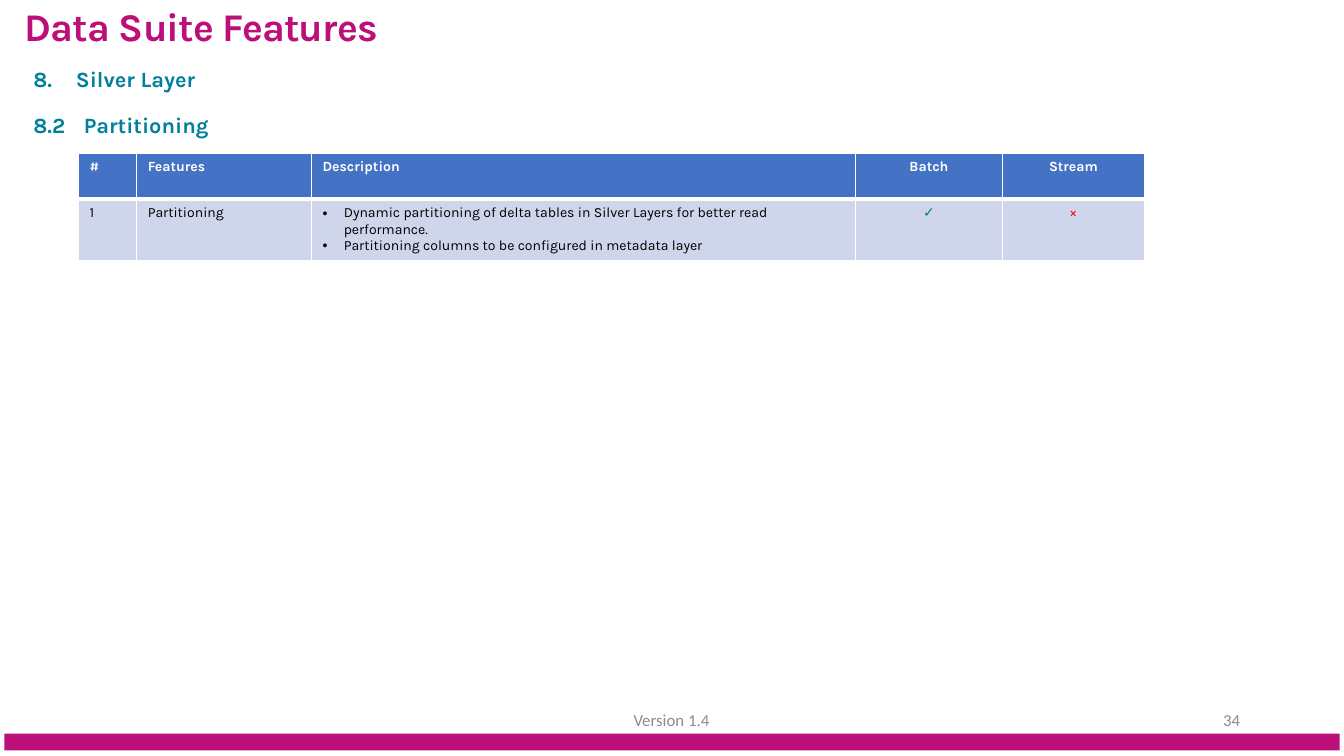
from dataclasses import dataclass

from lxml.etree import SubElement
from pptx import Presentation
from pptx.dml.color import RGBColor
from pptx.enum.shapes import MSO_SHAPE
from pptx.enum.text import MSO_ANCHOR, PP_ALIGN
from pptx.oxml.ns import qn
from pptx.util import Inches, Pt


@dataclass(frozen=True)
class Theme:
    magenta: str = "BC0F79"
    teal: str = "00809A"
    header: str = "4472C4"
    band: str = "CFD5EA"
    white: str = "FFFFFF"
    black: str = "000000"
    red: str = "FF0000"
    grey: str = "8C8C8C"
    font: str = "Karla"
    footer_font: str = "Calibri"
    title_size: float = 25.2
    heading_size: float = 14
    table_size: float = 9
    footer_size: float = 10.8


THEME = Theme()
WIDTH, HEIGHT = 12, 6.75
HEADING_LEFT, HEADING_WIDTH, HEADING_HEIGHT = 0.2, WIDTH / 2, 0.34
COLUMNS = (0.52, 1.56, 4.86, 1.31, 1.27)
ROW_HEIGHTS = (0.41, 0.55)
HEADERS = ("#", "Features", "Description", "Batch", "Stream")
FEATURE = (
    "1",
    "Partitioning",
    (
        "Dynamic partitioning of delta tables in Silver Layers for better read performance.",
        "Partitioning columns to be configured in metadata layer",
    ),
    "✓",
    "×",
)
MARK_COLORS = {"✓": THEME.teal, "×": THEME.red}


def color(value):
    return RGBColor.from_string(value)


def set_hanging(paragraph, indent, bullet=None, start=None):
    """Hang the paragraph, with a bullet, a number or a tab stop."""
    properties = paragraph._p.get_or_add_pPr()
    properties.set("marL", str(Inches(indent)))
    properties.set("indent", str(-Inches(indent)))
    if bullet:
        SubElement(properties, qn("a:buFont"), typeface="Arial")
        SubElement(properties, qn("a:buChar"), char=bullet)
    elif start:
        SubElement(properties, qn("a:buFont"), typeface="+mj-lt")
        SubElement(properties, qn("a:buAutoNum"), type="arabicPeriod", startAt=str(start))
    else:
        tabs = SubElement(properties, qn("a:tabLst"))
        SubElement(tabs, qn("a:tab"), pos=str(Inches(indent)), algn="l")


def write_text(frame, text, *, size, fill, font=THEME.font, bold=False,
               align=PP_ALIGN.LEFT, indent=None, bullet=None, start=None):
    """Write one string, or a sequence with one paragraph per item."""
    lines = (text,) if isinstance(text, str) else text
    for index, line in enumerate(lines):
        paragraph = frame.add_paragraph() if index else frame.paragraphs[0]
        paragraph.alignment = align
        if indent:
            set_hanging(paragraph, indent, bullet, start)
        run = paragraph.add_run()
        run.text = line
        run.font.name = font
        run.font.size = Pt(size)
        run.font.bold = bold
        run.font.color.rgb = color(fill)


def add_text(slide, text, left, top, width, height, anchor=MSO_ANCHOR.TOP, **style):
    box = slide.shapes.add_textbox(Inches(left), Inches(top), Inches(width), Inches(height))
    box.text_frame.word_wrap = True
    box.text_frame.vertical_anchor = anchor
    write_text(box.text_frame, text, **style)


def add_title(slide, text):
    title = slide.shapes.title
    title.left, title.top = Inches(0.22), Inches(0.11)
    title.width, title.height = Inches(5.62), Inches(HEADING_HEIGHT)
    frame = title.text_frame
    frame.margin_left = frame.margin_right = frame.margin_bottom = 0
    frame.margin_top = Inches(0.01)
    frame.vertical_anchor = MSO_ANCHOR.TOP
    write_text(frame, text, size=THEME.title_size, fill=THEME.magenta, bold=True)
    paragraph = frame.paragraphs[0]
    paragraph.line_spacing = Pt(22.8)
    paragraph.runs[0].font._element.set("spc", "-50")


def add_heading(slide, text, top, indent, start=None):
    add_text(slide, text, HEADING_LEFT, top, HEADING_WIDTH, HEADING_HEIGHT,
             size=THEME.heading_size, fill=THEME.teal, bold=True,
             indent=indent, start=start)


def set_borders(cell, top, bottom):
    properties = cell._tc.get_or_add_tcPr()
    for side, points in (("L", 1), ("R", 1), ("T", top), ("B", bottom)):
        line = SubElement(properties, qn(f"a:ln{side}"), w=str(Pt(points)))
        fill = SubElement(line, qn("a:solidFill"))
        SubElement(fill, qn("a:srgbClr"), val=THEME.white)


def fill_cell(cell, text, is_header, **style):
    set_borders(cell, top=1 if is_header else 3, bottom=3 if is_header else 1)
    cell.fill.solid()
    cell.fill.fore_color.rgb = color(THEME.header if is_header else THEME.band)
    write_text(cell.text_frame, text, size=THEME.table_size, bold=is_header, **style)


def add_feature_table(slide, rows):
    table = slide.shapes.add_table(
        len(rows), len(COLUMNS), Inches(0.7), Inches(1.37),
        Inches(sum(COLUMNS)), Inches(sum(ROW_HEIGHTS))).table
    for column, width in zip(table.columns, COLUMNS):
        column.width = Inches(width)
    for row_index, values in enumerate(rows):
        table.rows[row_index].height = Inches(ROW_HEIGHTS[row_index])
        is_header = row_index == 0
        for column_index, value in enumerate(values):
            is_list = not isinstance(value, str)
            fill_cell(
                table.cell(row_index, column_index), value, is_header,
                fill=THEME.white if is_header else MARK_COLORS.get(value, THEME.black),
                align=PP_ALIGN.CENTER if column_index >= 3 else PP_ALIGN.LEFT,
                indent=0.19 if is_list else None,
                bullet="•" if is_list else None)


def add_footer(slide, version, number):
    bar = slide.shapes.add_shape(MSO_SHAPE.RECTANGLE, Inches(0.04), Inches(6.55),
                                 Inches(WIDTH - 0.08), Inches(0.15))
    bar.shadow.inherit = False
    bar.fill.solid()
    bar.fill.fore_color.rgb = color(THEME.magenta)
    bar.line.fill.background()
    for text, left, width, align in (
        (version, 3.97, 4.05, PP_ALIGN.CENTER),
        (number, 8.47, 2.7, PP_ALIGN.RIGHT),
    ):
        add_text(slide, text, left, 6.25, width, 0.36, anchor=MSO_ANCHOR.MIDDLE,
                 size=THEME.footer_size, fill=THEME.grey,
                 font=THEME.footer_font, align=align)


def main():
    presentation = Presentation()
    presentation.slide_width, presentation.slide_height = Inches(WIDTH), Inches(HEIGHT)
    slide = presentation.slides.add_slide(presentation.slide_layouts[5])

    # Title and numbered headings
    add_title(slide, "Data Suite Features")
    add_heading(slide, "Silver Layer", top=0.54, indent=0.38, start=8)
    add_heading(slide, "8.2\tPartitioning", top=0.95, indent=0.45)

    # Feature support by processing mode
    add_feature_table(slide, (HEADERS, FEATURE))

    # Version, slide number and bottom bar
    add_footer(slide, "Version 1.4", "34")
    presentation.save("out.pptx")


if __name__ == "__main__":
    main()
